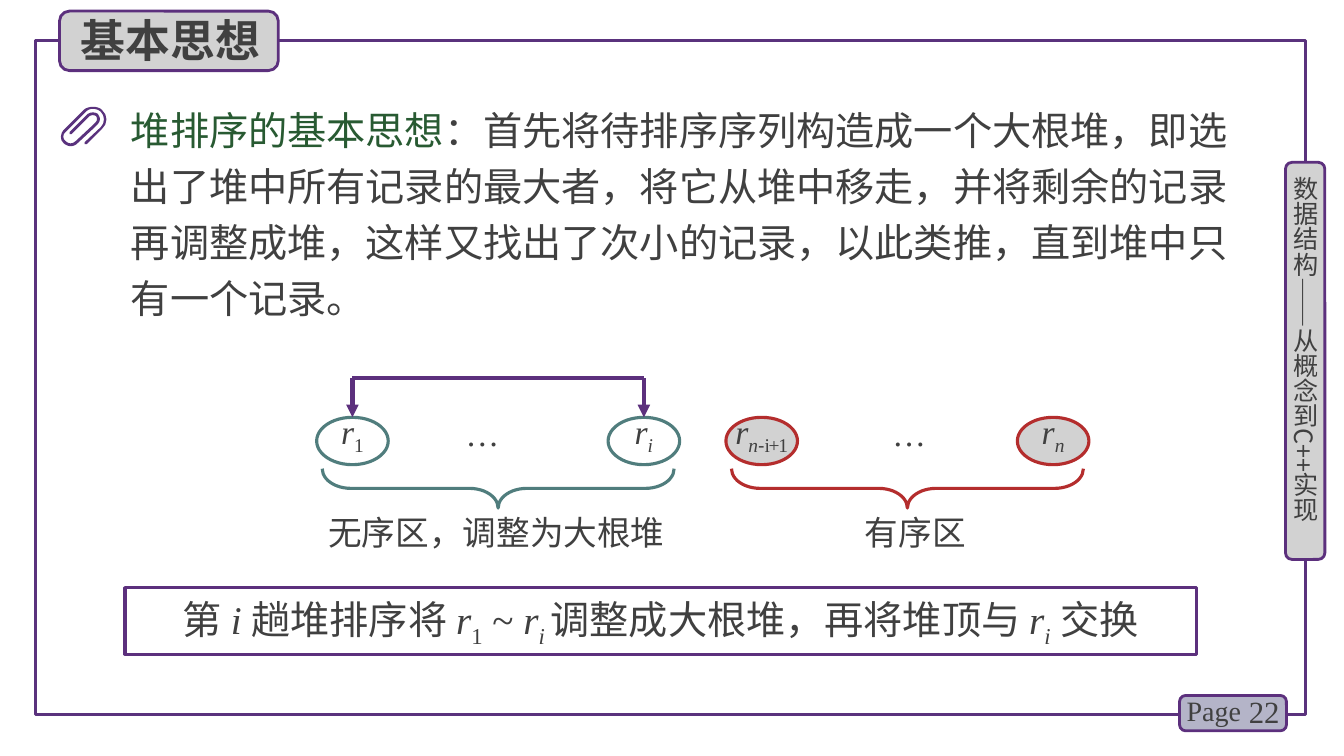
from dataclasses import dataclass
from lxml.etree import SubElement
from pptx import Presentation
from pptx.dml.color import RGBColor
from pptx.enum.shapes import MSO_CONNECTOR, MSO_SHAPE
from pptx.enum.text import MSO_ANCHOR, PP_ALIGN
from pptx.oxml.ns import qn
from pptx.util import Inches, Pt

COLORS = {"violet": "5A327D", "edge": "5C307D", "plate": "D2D2D2", "badge": "B4B4C8",
          "text": "404040", "green": "285A32", "teal": "507D7D", "red": "B42D2D"}
SERIF, HAN = "Times New Roman", "Noto Sans CJK SC"

# Clip outline in hundredths of an inch: pairs are corners, sextets are curves
CLIP_GRID = (47, 39)
CLIP = [(42, 3), (40, 1, 37, 0, 33, 0), (30, 0, 26, 1, 24, 3), (12, 15), (4, 23),
        (1, 26, 0, 33, 4, 36), (6, 38, 9, 39, 11, 39), (14, 39, 16, 38, 18, 36),
        (33, 22), (38, 17), (39, 16, 40, 14, 40, 12), (40, 10, 39, 9, 38, 7),
        (35, 5, 31, 5, 28, 7), (10, 25), (10, 25, 10, 26, 10, 27), (11, 27), (12, 27),
        (30, 9), (32, 8, 34, 8, 36, 9), (37, 10, 37, 11, 37, 12),
        (37, 13, 37, 14, 36, 15), (31, 20), (16, 34), (13, 37, 9, 37, 6, 34),
        (3, 32, 3, 27, 6, 25), (7, 24), (26, 5), (28, 3, 30, 2, 33, 2),
        (36, 2, 39, 3, 41, 5), (45, 9, 45, 16, 41, 20), (25, 35),
        (25, 35, 25, 36, 25, 37), (26, 37), (27, 37), (42, 22), (48, 17, 48, 8, 42, 3)]


@dataclass
class Box:
    left: int
    top: int
    width: int
    height: int

    def inner(self, x, y, width, height):
        """Inner box, given in percent of this one."""
        return Box(round(self.left + self.width * x / 100),
                   round(self.top + self.height * y / 100),
                   round(self.width * width / 100), round(self.height * height / 100))

    def frame(self):
        return self.left, self.top, self.width, self.height


def rgb(name):
    return RGBColor.from_string(COLORS[name])


def add_shape(page, kind, box, line, weight, fill=None):
    shape = page.shapes.add_shape(kind, *box.frame())
    shape.shadow.inherit = False
    if fill:
        shape.fill.solid()
        shape.fill.fore_color.rgb = rgb(fill)
    else:
        shape.fill.background()
    shape.line.color.rgb = rgb(line)
    shape.line.width = Pt(weight)
    return shape


def write(shape, spans, size, font=SERIF, align=PP_ALIGN.LEFT, spacing=None,
          anchor=MSO_ANCHOR.TOP, wrap=True):
    """Each span is (text, style); style may hold italic, sub, bold, tight, font, color."""
    frame = shape.text_frame
    frame.word_wrap = wrap
    frame.vertical_anchor = anchor
    para = frame.paragraphs[0]
    para.alignment = align
    if spacing:
        para.line_spacing = Pt(spacing)
    for text, style in spans:
        span = para.add_run()
        span.text = text
        span.font.size = Pt(size)
        span.font.name = style.get("font", font)
        span.font.bold = style.get("bold", False)
        span.font.italic = style.get("italic", False)
        span.font.color.rgb = rgb(style.get("color", "text"))
        properties = span.font._element
        SubElement(properties, qn("a:ea")).set("typeface", HAN)
        if style.get("sub"):
            properties.set("baseline", "-25000")
        if style.get("tight"):
            properties.set("spc", "-100")


def add_text(page, box, spans, size, **options):
    shape = page.shapes.add_textbox(*box.frame())
    write(shape, spans, size, **options)
    return shape


def clear_margins(frame, sides=0):
    frame.margin_left = frame.margin_right = Inches(sides)
    frame.margin_top = frame.margin_bottom = 0


def page_badge(page, box):
    add_shape(page, MSO_SHAPE.ROUNDED_RECTANGLE, box, "edge", 2, "badge")
    add_text(page, box.inner(47.17, -11.43, 55.66, 114.29), [("22", {})], 22,
             align=PP_ALIGN.RIGHT, anchor=MSO_ANCHOR.MIDDLE)
    add_text(page, box.inner(-2.83, -20, 73.58, 125.71), [("Page", {})], 20)


def side_tab(page, box):
    add_shape(page, MSO_SHAPE.ROUNDED_RECTANGLE, box, "edge", 2, "plate")
    label = add_text(page, box.inner(10.26, 3.55, 76.92, 95.94),
                     [("数据结构——从概念到C++实现", {})], 18, font=HAN)
    clear_margins(label.text_frame)
    label.text_frame._txBody.bodyPr.set("vert", "eaVert")


def title_tab(page, box):
    add_shape(page, MSO_SHAPE.ROUNDED_RECTANGLE, box, "edge", 2, "plate")
    title = page.shapes.title
    title.left, title.top, title.width, title.height = box.inner(5.07, -6.78, 92.17, 108.47).frame()
    write(title, [("基本思想", {"bold": True})], 32, font=HAN, anchor=MSO_ANCHOR.MIDDLE)
    page.shapes._spTree.append(title._element)  # bring in front of the plate


def paper_clip(page, box):
    columns, rows = CLIP_GRID
    points = []
    for step in CLIP:
        if len(step) == 2:
            points.append(step)
            continue
        knots = [points[-1], step[:2], step[2:4], step[4:]]
        for t in (0.25, 0.5, 0.75, 1):
            weights = ((1 - t) ** 3, 3 * t * (1 - t) ** 2, 3 * t * t * (1 - t), t ** 3)
            points.append(tuple(sum(w * knot[axis] for w, knot in zip(weights, knots))
                                for axis in (0, 1)))
    outline = [(box.left + x / columns * box.width, box.top + y / rows * box.height)
               for x, y in points]
    builder = page.shapes.build_freeform(*outline[0])
    builder.add_line_segments(outline[1:], close=True)
    clip = builder.convert_to_shape()
    clip.shadow.inherit = False
    clip.fill.solid()
    clip.fill.fore_color.rgb = rgb("violet")
    clip.line.fill.background()


def zone(page, box, color, fill, first, last, dots_left, label, label_align):
    """Two records with dots between, a brace below and its label."""
    node_width, node_height = 19.72, 33.81
    nodes = []
    for x, subscript in ((0, first), (100 - node_width, last)):
        node = add_shape(page, MSO_SHAPE.OVAL, box.inner(x, 0, node_width, node_height),
                         color, 2.25, fill)
        tight = len(subscript) > 1
        write(node, [("r", {"italic": True, "tight": tight})] + subscript, 24,
              align=PP_ALIGN.CENTER, spacing=22, anchor=MSO_ANCHOR.MIDDLE, wrap=False)
        clear_margins(node.text_frame, 0.1)
        nodes.append(node)
    add_text(page, box.inner(dots_left, 0, 28.06, 29.5), [("…", {})], 24,
             align=PP_ALIGN.CENTER, spacing=22)

    # The brace is drawn upright, then turned about its centre
    span = box.inner(1.53, 36.69, 96.94, 28.06)
    shift = (span.width - span.height) // 2
    upright = Box(span.left + shift, span.top - shift, span.height, span.width)
    brace = add_shape(page, MSO_SHAPE.LEFT_BRACE, upright, color, 2.25)
    brace.adjustments[0], brace.adjustments[1] = 0.73, 0.5
    brace.rotation = 270
    add_text(page, box.inner(0.5, 64.03, 103.33, 35.97), [(label, {})], 24, align=label_align)
    return nodes


def swap_arrow(page, nodes, top):
    left, right = [node.left + node.width // 2 for node in nodes]
    for start, end, node in ((left, right, None), (right, right, nodes[1]),
                             (left, left, nodes[0])):
        line = page.shapes.add_connector(MSO_CONNECTOR.STRAIGHT, start, top, end, top)
        line.line.color.rgb = rgb("edge")
        line.line.width = Pt(3)
        if node is not None:
            line.end_connect(node, 0)
            SubElement(line.line._get_or_add_ln(), qn("a:tailEnd")).set("type", "triangle")
        SubElement(line._element.spPr, qn("a:effectLst"))


def statement(page, box):
    add_text(page, box, [
        ("堆排序的基本思想", {"color": "green"}),
        ("：首先将待排序序列构造成一个大根堆，即选出了堆中所有记录的最大者，将它从堆中移走，"
         "并将剩余的记录再调整成堆，这样又找出了次小的记录，以此类推，直到堆中只有一个记录。", {}),
    ], 28, font=HAN, spacing=40)


def conclusion(page, box):
    italic, low, low_italic = {"italic": True}, {"sub": True}, {"italic": True, "sub": True}
    shape = add_shape(page, MSO_SHAPE.RECTANGLE, box, "edge", 2.25)
    write(shape, [("第 ", {}), ("i ", italic), ("趟堆排序将 ", {}), ("r", italic), ("1", low),
                  (" ~ ", {}), ("r", italic), ("i ", low_italic),
                  ("调整成大根堆，再将堆顶与 ", {}), ("r", italic), ("i", low_italic),
                  (" 交换", {})], 28, align=PP_ALIGN.CENTER, spacing=40)


def main():
    deck = Presentation()
    deck.slide_width, deck.slide_height = Inches(13.33), Inches(7.5)
    page = deck.slides.add_slide(deck.slide_layouts[5])
    area = Box(0, 0, deck.slide_width, deck.slide_height)

    # Frame and tabs
    add_shape(page, MSO_SHAPE.RECTANGLE, area.inner(2.63, 5.33, 94.52, 89.2), "violet", 2.25)
    page_badge(page, area.inner(87.77, 92, 7.95, 4.67))
    side_tab(page, area.inner(95.65, 21.47, 2.93, 52.53))
    title_tab(page, area.inner(4.43, 1.47, 16.28, 7.87))

    # Statement, diagram and conclusion
    statement(page, area.inner(9, 12.27, 85.75, 31.2))
    paper_clip(page, area.inner(4.43, 14.13, 3.53, 5.2))
    low, low_italic = {"sub": True}, {"sub": True, "italic": True}
    unsorted_nodes = zone(page, area.inner(23.56, 55.2, 27.01, 18.53), "teal", None,
                          [("1", low)], [("i", low_italic)], 31.67,
                          "无序区，调整为大根堆", PP_ALIGN.LEFT)
    tight = {"sub": True, "tight": True}
    zone(page, area.inner(54.01, 55.2, 27.01, 18.53), "red", "plate",
         [("n", {**tight, "italic": True}), ("-", {**tight, "font": "Arial"}), ("i+1", tight)],
         [("n", low_italic)], 36.49, "有序区", PP_ALIGN.CENTER)
    swap_arrow(page, unsorted_nodes, area.height // 2)
    conclusion(page, area.inner(9.3, 77.73, 79.74, 8.8))
    deck.save("out.pptx")


if __name__ == "__main__":
    main()
